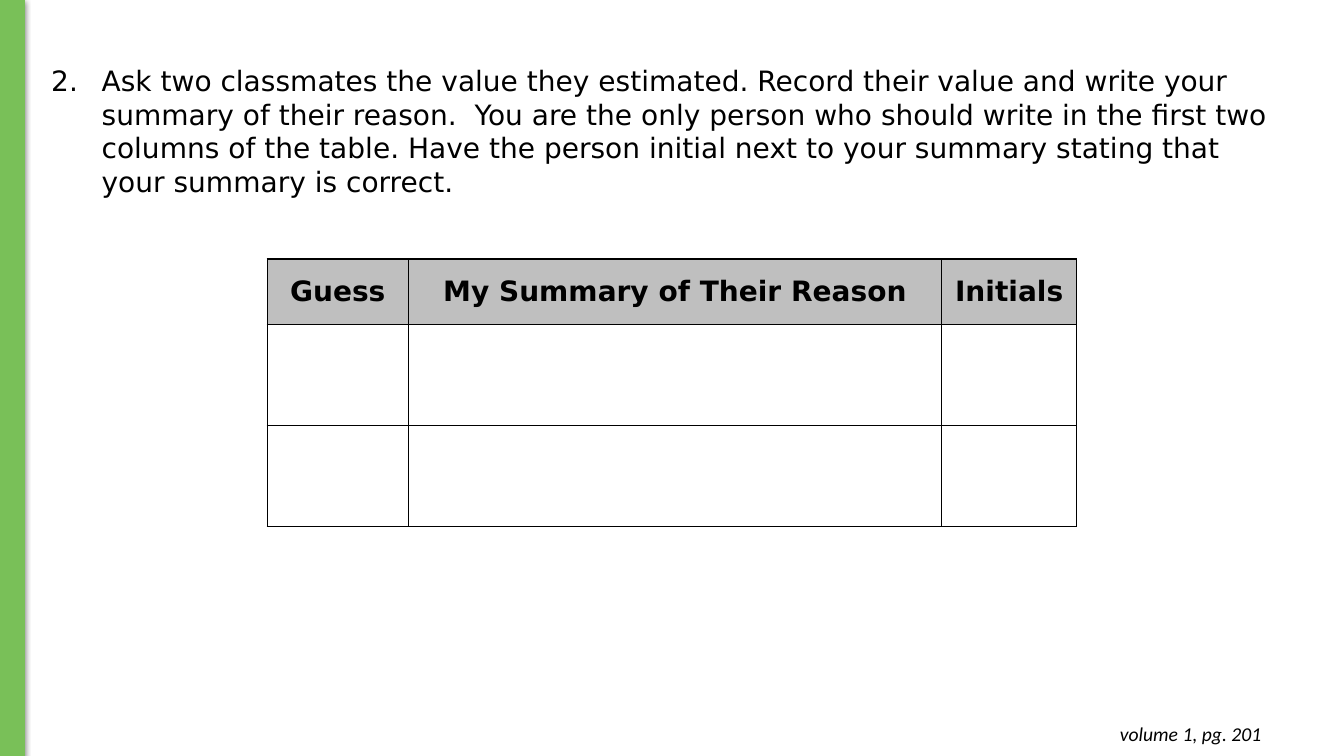
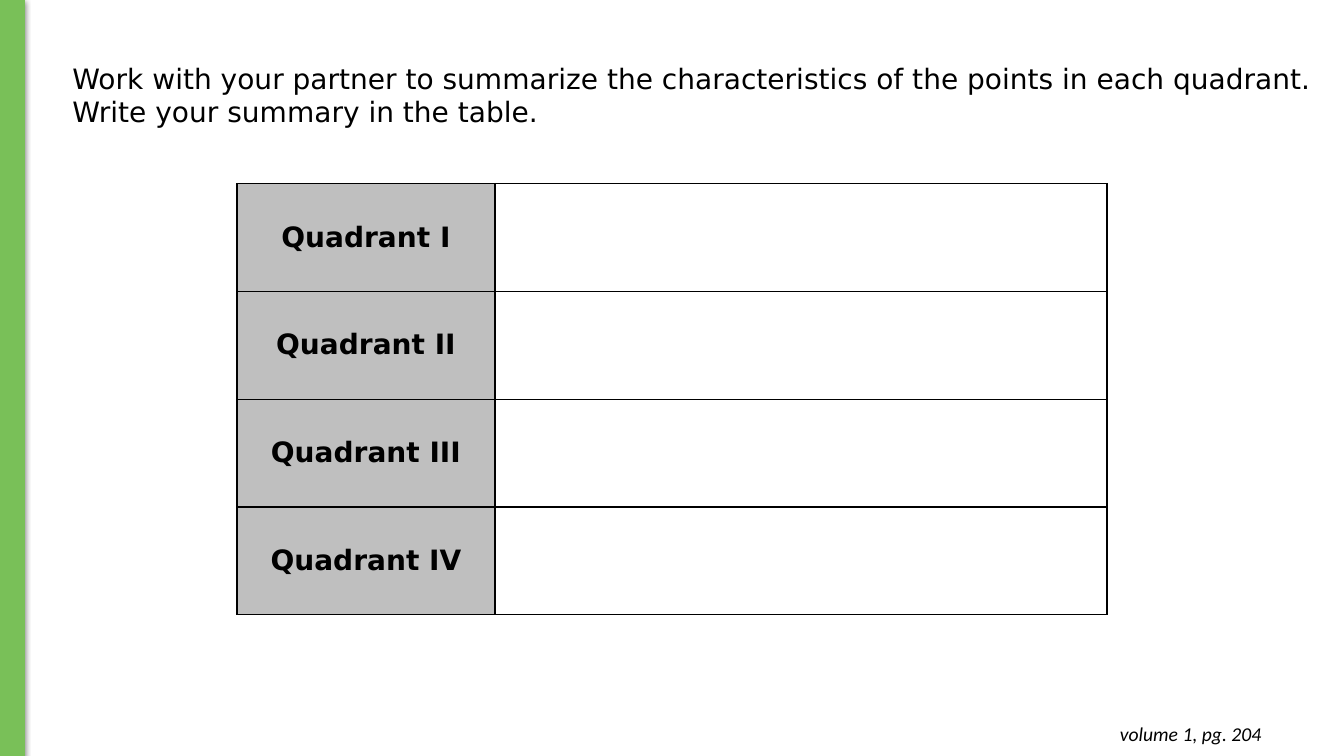
from dataclasses import dataclass

from lxml.etree import SubElement
from pptx import Presentation
from pptx.dml.color import RGBColor
from pptx.enum.shapes import MSO_SHAPE as Shape
from pptx.enum.text import MSO_ANCHOR as Anchor, PP_ALIGN as Align
from pptx.oxml.ns import qn
from pptx.util import Inches, Pt


@dataclass(frozen=True)
class Theme:
    green: RGBColor = RGBColor(0x79, 0xC0, 0x58)
    gray: RGBColor = RGBColor(0xBF, 0xBF, 0xBF)
    white: RGBColor = RGBColor(0xFF, 0xFF, 0xFF)
    black: RGBColor = RGBColor(0, 0, 0)
    body_font: str = "DejaVu Sans"
    footer_font: str = "Calibri"
    body_size: int = 20
    footer_size: int = 14


THEME = Theme()
SIDEBAR = (0, 0, 0.24, 7.5)
FOOTER = (9.73, 7.06, 2.88, 0.44)


def add_run(p, text, font=THEME.body_font, size=THEME.body_size, bold=False, italic=False):
    r = p.add_run()
    r.text = text
    r.font.name, r.font.size = font, Pt(size)
    r.font.bold, r.font.italic = bold, italic
    r.font.color.rgb = THEME.black


def add_text_box(s, box):
    tf = s.shapes.add_textbox(*map(Inches, box)).text_frame
    tf.word_wrap = True
    return tf


def add_sidebar(s, box):
    """Green band with a soft shadow."""
    bar = s.shapes.add_shape(Shape.RECTANGLE, *map(Inches, box))
    bar.fill.solid()
    bar.fill.fore_color.rgb = THEME.green
    bar.line.color.rgb = THEME.green
    bar.line.width = Pt(0.75)
    bar.shadow.inherit = False
    effects = bar.element.spPr.find(qn("a:effectLst"))
    shadow = SubElement(effects, qn("a:outerShdw"), blurRad=str(Pt(4.5)),
                        dist=str(Pt(1.5)), dir="5400000", rotWithShape="0")
    color = SubElement(shadow, qn("a:srgbClr"), val=str(THEME.black))
    SubElement(color, qn("a:alpha"), val="50000")


def add_footer(s, box, page):
    tf = add_text_box(s, box)
    tf.margin_top = tf.margin_bottom = Inches(0.1)
    p = tf.paragraphs[0]
    p.alignment = Align.RIGHT
    add_run(p, f"volume 1, pg. {page}", THEME.footer_font, THEME.footer_size, italic=True)


def add_prompt(s, box, text, number=None):
    """Instruction text, numbered when a number is given."""
    p = add_text_box(s, box).paragraphs[0]
    if number:
        pPr = p._p.get_or_add_pPr()
        pPr.set("marL", str(Inches(0.5)))
        pPr.set("indent", str(Inches(-0.5)))
        color = SubElement(pPr, qn("a:buClr"))
        SubElement(color, qn("a:srgbClr"), val=str(THEME.black))
        SubElement(pPr, qn("a:buAutoNum"), type="arabicPeriod", startAt=str(number))
    add_run(p, text)


def format_cell(cell, label):
    """Black borders; gray with a bold label, or white when empty."""
    tcPr = cell._tc.get_or_add_tcPr()
    for side in ("lnL", "lnR", "lnT", "lnB"):
        ln = SubElement(tcPr, qn(f"a:{side}"), w=str(Pt(1)))
        fill = SubElement(ln, qn("a:solidFill"))
        SubElement(fill, qn("a:srgbClr"), val=str(THEME.black))
    cell.fill.solid()
    cell.fill.fore_color.rgb = THEME.gray if label else THEME.white
    cell.vertical_anchor = Anchor.MIDDLE
    cell.margin_left = cell.margin_right = Inches(0.07)
    cell.margin_top = cell.margin_bottom = 0
    if label:
        p = cell.text_frame.paragraphs[0]
        p.alignment = Align.CENTER
        add_run(p, label, bold=True)


def add_grid(s, left, top, widths, heights, labels):
    """Table whose labels map (row, column) to a heading."""
    size = (left, top, sum(widths), sum(heights))
    table = s.shapes.add_table(len(heights), len(widths), *map(Inches, size)).table
    table.first_row = table.horz_banding = False
    for col, width in zip(table.columns, widths):
        col.width = Inches(width)
    for i, height in enumerate(heights):
        table.rows[i].height = Inches(height)
        for j in range(len(widths)):
            format_cell(table.cell(i, j), labels.get((i, j)))


def add_base_slide(prs, page):
    s = prs.slides.add_slide(prs.slide_layouts[6])
    add_sidebar(s, SIDEBAR)
    add_footer(s, FOOTER, page)
    return s


def build_guess_slide(prs):
    s = add_base_slide(prs, 201)
    add_prompt(s, (0.41, 0.58, 12.38, 1.45),
               "Ask two classmates the value they estimated. Record their value and "
               "write your summary of their reason.  You are the only person who should "
               "write in the first two columns of the table. Have the person initial "
               "next to your summary stating that your summary is correct.", number=2)
    headings = ("Guess", "My Summary of Their Reason", "Initials")
    add_grid(s, 2.65, 2.57, (1.4, 5.29, 1.34), (0.65, 1, 1),
             {(0, j): text for j, text in enumerate(headings)})


def build_quadrant_slide(prs):
    s = add_base_slide(prs, 204)
    add_prompt(s, (0.62, 0.56, 12.56, 0.8),
               "Work with your partner to summarize the characteristics of the points "
               "in each quadrant. Write your summary in the table.")
    numerals = ("I", "II", "III", "IV")
    add_grid(s, 2.35, 1.82, (2.56, 6.07), [1.07] * len(numerals),
             {(i, 0): f"Quadrant {n}" for i, n in enumerate(numerals)})


def main():
    prs = Presentation()
    prs.slide_width, prs.slide_height = Inches(13.33), Inches(7.5)
    build_guess_slide(prs)
    build_quadrant_slide(prs)
    prs.save("out.pptx")


if __name__ == "__main__":
    main()
